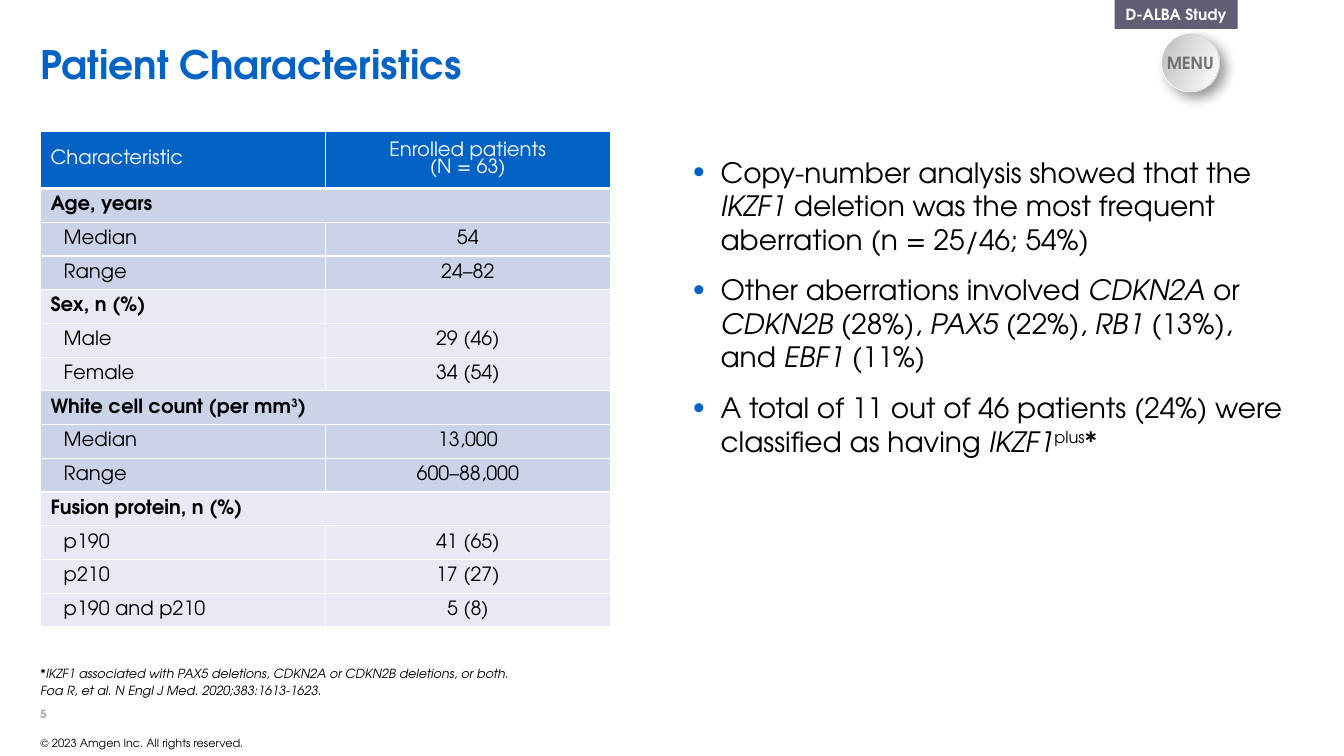
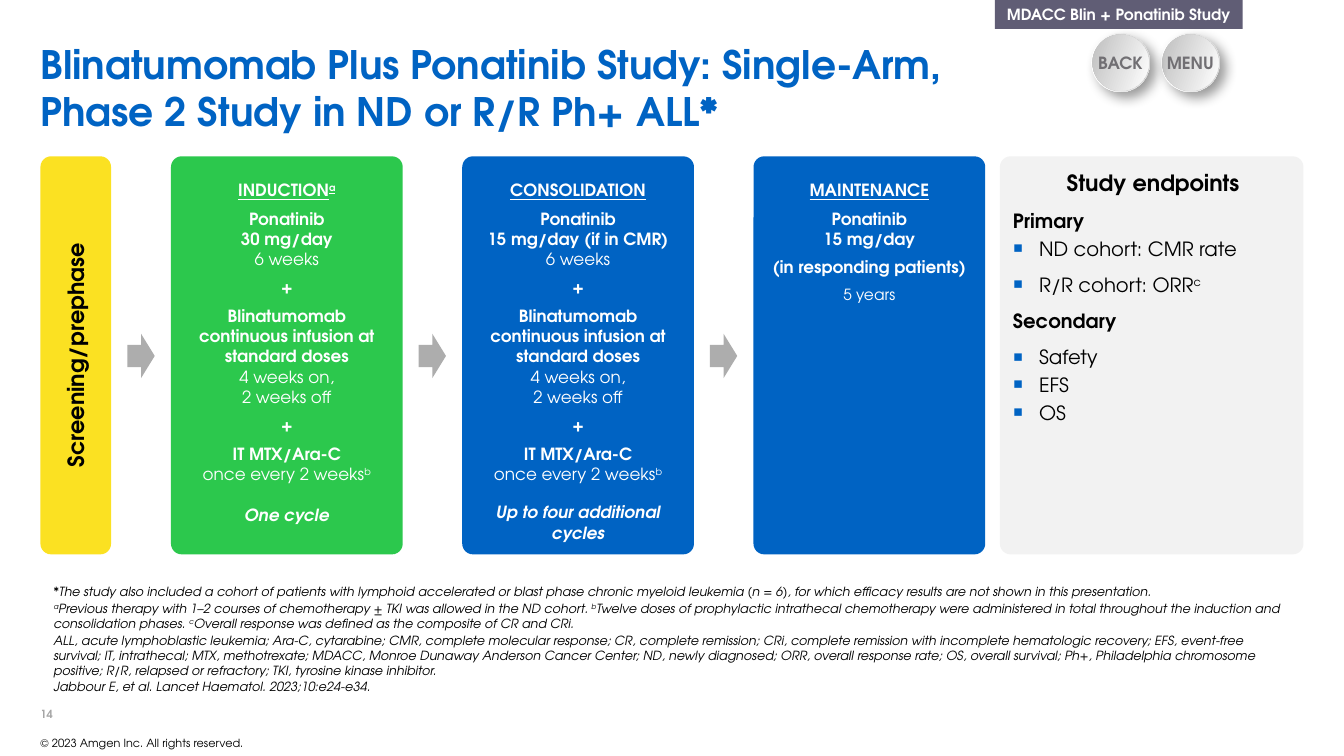
from dataclasses import dataclass, replace

from pptx import Presentation
from pptx.dml.color import RGBColor
from pptx.enum.shapes import MSO_SHAPE
from pptx.enum.text import MSO_ANCHOR, PP_ALIGN
from pptx.oxml import parse_xml
from pptx.oxml.ns import nsdecls
from pptx.util import Cm, Pt


@dataclass(frozen=True)
class Theme:
    font: str = "TeX Gyre Adventor"
    blue: str = "0063C3"
    green: str = "2CC84D"
    yellow: str = "FBE122"
    purple: str = "605D75"
    black: str = "000000"
    white: str = "FFFFFF"
    panel: str = "F2F2F2"
    arrow: str = "ADADAD"
    page_number: str = "A6A6A6"
    button_text: str = "716F73"
    rim: tuple = ("FFFFFF", "D6D6D6")
    face: tuple = ("BFBFBF", "FFFFFF")
    bands: tuple = ("CBD3E9", "E7EAF5")
    title_size: int = 28
    body_size: int = 20
    heading_size: int = 16
    table_size: int = 14
    card_size: int = 12
    tag_size: int = 11
    note_size: int = 9
    footer_size: int = 8


THEME = Theme()
MARGIN = 1.02
PANEL_TOP, PANEL_HEIGHT, PANEL_RADIUS = 3.94, 10.03, 0.27
CARD_LEFT, CARD_WIDTH, CARD_PITCH = 4.31, 5.84, 7.34
CARD_INSETS = (0.33, 0.51, 0.33, 0.18)


@dataclass(frozen=True)
class Line:
    text: str
    size: float = THEME.body_size
    color: str = THEME.black
    bold: bool = False
    italic: bool = False
    underline: bool = False
    align: PP_ALIGN = PP_ALIGN.LEFT
    before: float = 0
    after: float = 0
    spacing: float = 1.0
    indent: float = 0
    bullet: str = ""
    bullet_percent: int = 100


def rgb(value):
    return RGBColor.from_string(value)


def add_span(para, text, line, marks):
    for index, part in enumerate(text.split("\n")):
        if index:
            para.add_line_break()
        if not part:
            continue
        span = para.add_run()
        span.text = part
        if "~" in marks:
            span.font.bold = not line.bold
        if "_" in marks:
            span.font.italic = not line.italic
        if "^" in marks:
            span._r.get_or_add_rPr().set("baseline", "30000")


def write_line(para, line):
    properties = para._p.get_or_add_pPr()
    if line.indent:
        properties.set("marL", str(Cm(line.indent)))
    if line.bullet:
        properties.set("indent", str(-Cm(line.indent)))
        for content in (
            f'<a:buClr {nsdecls("a")}><a:srgbClr val="{THEME.blue}"/></a:buClr>',
            f'<a:buSzPct {nsdecls("a")} val="{line.bullet_percent * 1000}"/>',
            f'<a:buFont {nsdecls("a")} typeface="{THEME.font}"/>',
            f'<a:buChar {nsdecls("a")} char="{line.bullet}"/>',
        ):
            properties.append(parse_xml(content))
    para.alignment = line.align
    para.space_before = Pt(line.before)
    para.space_after = Pt(line.after)
    para.line_spacing = line.spacing
    font = para.font
    font.name, font.size = THEME.font, Pt(line.size)
    font.bold, font.italic, font.underline = line.bold, line.italic, line.underline
    font.color.rgb = rgb(line.color)
    marks, text = set(), ""
    for letter in line.text:
        if letter in "~_^":
            add_span(para, text, line, marks)
            marks, text = marks ^ {letter}, ""
        else:
            text += letter
    add_span(para, text, line, marks)


def write_frame(frame, lines, insets=(0, 0, 0, 0), anchor=MSO_ANCHOR.TOP, wrap=True):
    frame.word_wrap = wrap
    frame.vertical_anchor = anchor
    frame.margin_left, frame.margin_top, frame.margin_right, frame.margin_bottom = map(Cm, insets)
    for index, line in enumerate(lines):
        write_line(frame.add_paragraph() if index else frame.paragraphs[0], line)


def add_text(page, place, lines, **options):
    box = page.shapes.add_textbox(*map(Cm, place))
    write_frame(box.text_frame, lines, **options)


def add_box(page, kind, place, fill=None):
    box = page.shapes.add_shape(kind, *map(Cm, place))
    box.shadow.inherit = False
    box.line.fill.background()
    if fill:
        box.fill.solid()
        box.fill.fore_color.rgb = rgb(fill)
    return box


def add_panel(page, left, width, fill, lines, **options):
    place = (left, PANEL_TOP, width, PANEL_HEIGHT)
    panel = add_box(page, MSO_SHAPE.ROUNDED_RECTANGLE, place, fill)
    panel.adjustments[0] = PANEL_RADIUS / min(width, PANEL_HEIGHT)
    write_frame(panel.text_frame, lines, **options)
    return panel


def add_disc(page, left, top, size, colors, angle):
    disc = add_box(page, MSO_SHAPE.OVAL, (left, top, size, size))
    disc.fill.gradient()
    disc.fill.gradient_angle = angle
    for stop, color in zip(disc.fill.gradient_stops, colors):
        stop.color.rgb = rgb(color)
    return disc


def add_button(page, left, label):
    top, size, edge = 0.84, 1.48, 0.03
    rim = add_disc(page, left, top, size, THEME.rim, 0)
    rim.element.spPr.find("{*}effectLst").append(parse_xml(
        f'<a:outerShdw {nsdecls("a")} blurRad="{Pt(9)}" dist="{Pt(6)}" dir="2700000">'
        f'<a:srgbClr val="{THEME.black}"><a:alpha val="40000"/></a:srgbClr></a:outerShdw>'
    ))
    face = add_disc(page, left + edge, top + edge, size - 2 * edge, THEME.face, 340)
    line = Line(label, THEME.card_size, THEME.button_text, bold=True, align=PP_ALIGN.CENTER)
    write_frame(face.text_frame, [line], anchor=MSO_ANCHOR.MIDDLE, wrap=False)


def add_page(deck, number, title, title_width, tag, tag_place, buttons):
    page = deck.slides.add_slide(deck.slide_layouts[6])
    add_text(page, (MARGIN, 17.58, 1.14, 0.58),
             [Line(str(number), THEME.footer_size, THEME.page_number, bold=True)],
             anchor=MSO_ANCHOR.BOTTOM)
    add_text(page, (MARGIN, 18.35, 6, 0.55),
             [Line("© 2023 Amgen Inc. All rights reserved.", THEME.footer_size)],
             anchor=MSO_ANCHOR.BOTTOM)
    add_text(page, (MARGIN, 1.02, title_width, 1.2),
             [Line(title, THEME.title_size, THEME.blue, bold=True)])
    left, width = tag_place
    band = add_box(page, MSO_SHAPE.RECTANGLE, (left, 0, width, 0.73), THEME.purple)
    write_frame(band.text_frame,
                [Line(tag, THEME.tag_size, THEME.white, bold=True, align=PP_ALIGN.CENTER)],
                anchor=MSO_ANCHOR.MIDDLE, wrap=False)
    for index, label in enumerate(buttons):
        add_button(page, 29.26 - 1.76 * index, label)
    return page


def add_notes(page, place, notes):
    lines = [Line(note, THEME.note_size, italic=True, after=1) for note in notes]
    add_text(page, place, lines, anchor=MSO_ANCHOR.BOTTOM)


def style_cell(cell, fill, line, top=1, bottom=1):
    cell.fill.solid()
    cell.fill.fore_color.rgb = rgb(fill)
    cell.vertical_anchor = MSO_ANCHOR.MIDDLE
    cell.margin_top = cell.margin_bottom = 0
    properties = cell._tc.get_or_add_tcPr()
    for index, (side, width) in enumerate((("L", 1), ("R", 1), ("T", top), ("B", bottom))):
        properties.insert(index, parse_xml(
            f'<a:ln{side} {nsdecls("a")} w="{Pt(width)}"><a:solidFill>'
            f'<a:srgbClr val="{THEME.white}"/></a:solidFill></a:ln{side}>'
        ))
    write_line(cell.text_frame.paragraphs[0], line)


def add_patient_table(page, headings, groups):
    rows = []
    for index, (label, merged, entries) in enumerate(groups):
        band = THEME.bands[index % 2]
        rows.append((label, "", band, True, merged))
        rows += [(name, value, band, False, False) for name, value in entries]
    header_height, row_height, column_width = 1.45, 0.85, 7.18
    frame = page.shapes.add_table(
        len(rows) + 1, 2, Cm(MARGIN), Cm(3.3), Cm(2 * column_width),
        Cm(header_height + row_height * len(rows)))
    table = frame.table
    table.first_row = table.horz_banding = False
    for column in table.columns:
        column.width = Cm(column_width)
    for row in table.rows:
        row.height = Cm(row_height)
    table.rows[0].height = Cm(header_height)
    plain = Line("", THEME.table_size)
    centred = replace(plain, align=PP_ALIGN.CENTER)
    for column, (text, base) in enumerate(zip(headings, (plain, centred))):
        style_cell(table.cell(0, column), THEME.blue,
                   replace(base, text=text, color=THEME.white, spacing=0.92), bottom=3)
    for index, (label, value, band, heading, merged) in enumerate(rows, 1):
        top = 3 if index == 1 else 1
        name = replace(plain, text=label, bold=heading, indent=0 if heading else 0.33)
        style_cell(table.cell(index, 0), band, name, top)
        style_cell(table.cell(index, 1), band, replace(centred, text=value), top)
        if merged:
            table.cell(index, 0).merge(table.cell(index, 1))


def card_lines(heading, *texts):
    base = Line("", THEME.card_size, THEME.white, bold=True, align=PP_ALIGN.CENTER, after=6)
    return [replace(base, text=heading, underline=True)] + [replace(base, text=text) for text in texts]


def regimen_lines(heading, dose, closing, gap):
    lines = card_lines(
        heading, f"Ponatinib\n{dose}\n~6 weeks~", "+", "Blinatumomab",
        "continuous infusion at standard doses", "~4 weeks on,\n2 weeks off~", "+",
        "IT MTX/Ara-C", "~once every 2 weeks^b^~", closing)
    tight = ("Blinatumomab", "continuous", "IT MTX", "~once")
    lines = [replace(line, after=0) if line.text.startswith(tight) else line for line in lines]
    lines[-1] = replace(lines[-1], italic=True, before=gap, after=0)
    return lines


def endpoint_lines():
    heading = Line("Primary", THEME.table_size, bold=True, after=3)
    item = Line("", THEME.table_size, indent=0.66, bullet="▪", after=9)
    return [
        Line("Study endpoints", THEME.heading_size, bold=True, align=PP_ALIGN.CENTER, after=9),
        heading,
        replace(item, text="ND cohort: CMR rate"),
        replace(item, text="R/R cohort: ORR^c^"),
        replace(heading, text="Secondary", after=9),
    ] + [replace(item, text=text, after=3) for text in ("Safety", "EFS", "OS")]


def build_characteristics(deck):
    page = add_page(deck, 5, "Patient Characteristics", 24.4, "D-ALBA Study", (28.09, 3.1), ["MENU"])
    add_patient_table(page, ("Characteristic", "Enrolled patients\n(N = 63)"), [
        ("Age, years", True, [("Median", "54"), ("Range", "24–82")]),
        ("Sex, n (%)", False, [("Male", "29 (46)"), ("Female", "34 (54)")]),
        ("White cell count (per mm^3^)", True, [("Median", "13,000"), ("Range", "600–88,000")]),
        ("Fusion protein, n (%)", True,
         [("p190", "41 (65)"), ("p210", "17 (27)"), ("p190 and p210", "5 (8)")]),
    ])
    findings = (
        "Copy-number analysis showed that the _IKZF1_ deletion was the most frequent aberration (n = 25/46; 54%)",
        "Other aberrations involved _CDKN2A_ or _CDKN2B_ (28%), _PAX5_ (22%), _RB1_ (13%), and _EBF1_ (11%)",
        "A total of 11 out of 46 patients (24%) were classified as having _IKZF1_^plus^*",
    )
    add_text(page, (17.12, 3.91, 15.75, 8.03),
             [Line(text, after=12, indent=0.71, bullet="•", bullet_percent=90) for text in findings],
             insets=(0.33, 0, 0.33, 0.18))
    add_notes(page, (MARGIN, 16.2, 24.5, 1.38), (
        "*IKZF1 associated with PAX5 deletions, CDKN2A or CDKN2B deletions, or both.",
        "Foa R, et al. N Engl J Med. 2020;383:1613-1623.",
    ))


def build_study_design(deck):
    page = add_page(
        deck, 14, "Blinatumomab Plus Ponatinib Study: Single-Arm, Phase 2 Study in ND or R/R Ph+ ALL*",
        24.4, "MDACC Blin + Ponatinib Study", (25.07, 6.25), ["MENU", "BACK"])
    screening = add_panel(
        page, MARGIN, 1.78, THEME.yellow,
        [Line("Screening/prephase", THEME.heading_size, bold=True, align=PP_ALIGN.CENTER)],
        anchor=MSO_ANCHOR.MIDDLE)
    screening.text_frame._txBody.bodyPr.set("vert", "vert270")
    maintenance = card_lines(
        "MAINTENANCE", "Ponatinib\n15 mg/day", "(in responding patients)", "~5 years~")
    maintenance[-1] = replace(maintenance[-1], size=THEME.tag_size)
    cards = (
        (THEME.green, regimen_lines("INDUCTION^a^", "30 mg/day", "One cycle", 15)),
        (THEME.blue, regimen_lines("CONSOLIDATION", "15 mg/day (if in CMR)", "Up to four additional cycles", 13)),
        (THEME.blue, maintenance),
    )
    for index, (fill, lines) in enumerate(cards):
        left = CARD_LEFT + CARD_PITCH * index
        add_panel(page, left, CARD_WIDTH, fill, lines, insets=CARD_INSETS)
        add_box(page, MSO_SHAPE.RIGHT_ARROW, (left - 1.1, 8.41, 0.69, 1.12), THEME.arrow)
    add_panel(page, 25.2, 7.65, THEME.panel, endpoint_lines(), insets=(0.25, 0.25, 0.18, 0.13))
    add_notes(page, (1.35, 14.66, 31.17, 2.84), (
        "*The study also included a cohort of patients with lymphoid accelerated or blast phase chronic myeloid leukemia (n = 6), for which efficacy results are not shown in this presentation.",
        "^a^Previous therapy with 1–2 courses of chemotherapy ± TKI was allowed in the ND cohort. ^b^Twelve doses of prophylactic intrathecal chemotherapy were administered in total throughout the induction and consolidation phases. ^c^Overall response was defined as the composite of CR and CRi.",
        "ALL, acute lymphoblastic leukemia; Ara-C, cytarabine; CMR, complete molecular response; CR, complete remission; CRi, complete remission with incomplete hematologic recovery; EFS, event-free survival; IT, intrathecal; MTX, methotrexate; MDACC, Monroe Dunaway Anderson Cancer Center; ND, newly diagnosed; ORR, overall response rate; OS, overall survival; Ph+, Philadelphia chromosome positive; R/R, relapsed or refractory; TKI, tyrosine kinase inhibitor.",
        "Jabbour E, et al. Lancet Haematol. 2023;10:e24-e34.",
    ))


def main():
    deck = Presentation()
    deck.slide_width, deck.slide_height = Cm(33.87), Cm(19.05)
    build_characteristics(deck)
    build_study_design(deck)
    deck.save("out.pptx")


if __name__ == "__main__":
    main()
